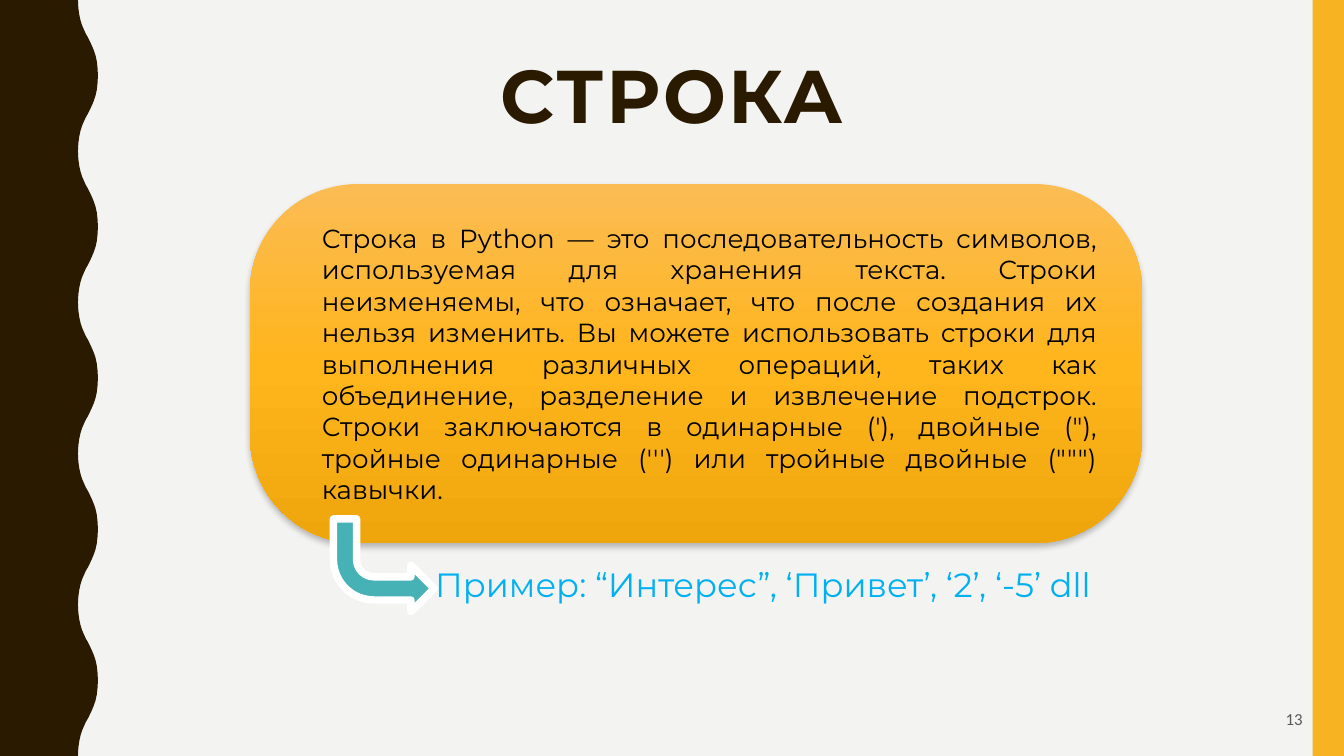
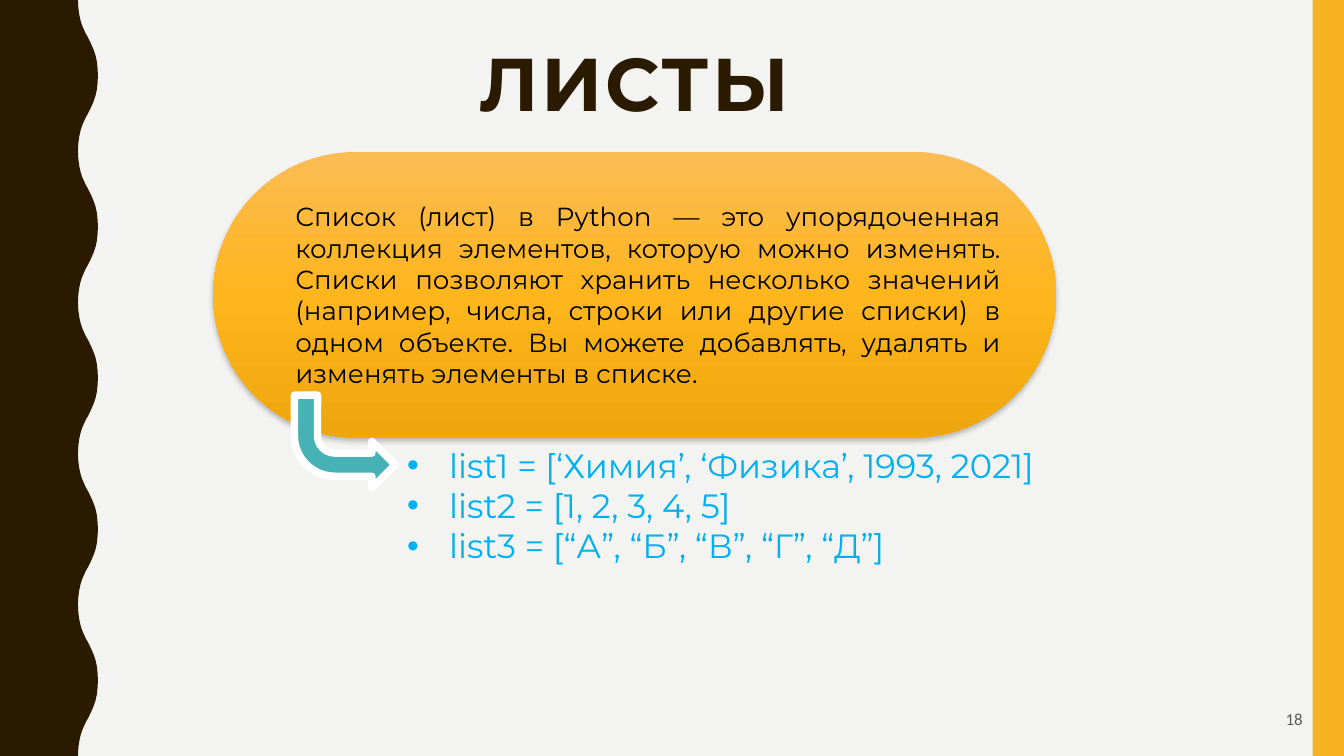
from lxml import etree
from pptx import Presentation
from pptx.dml.color import RGBColor
from pptx.enum.shapes import MSO_SHAPE
from pptx.enum.text import MSO_ANCHOR, PP_ALIGN
from pptx.oxml import parse_xml
from pptx.oxml.ns import nsdecls, qn
from pptx.util import Pt

RECT, ROUNDED, BENT_ARROW = MSO_SHAPE.RECTANGLE, MSO_SHAPE.ROUNDED_RECTANGLE, MSO_SHAPE.BENT_ARROW
TOP, MIDDLE, BOTTOM = MSO_ANCHOR.TOP, MSO_ANCHOR.MIDDLE, MSO_ANCHOR.BOTTOM
LEFT, CENTER, RIGHT, JUSTIFY = PP_ALIGN.LEFT, PP_ALIGN.CENTER, PP_ALIGN.RIGHT, PP_ALIGN.JUSTIFY

PAPER = RGBColor(0xF3, 0xF3, 0xF2)
BROWN = RGBColor(0x2A, 0x1A, 0x00)
AMBER = RGBColor(0xF8, 0xB3, 0x23)
CARD_TOP = RGBColor(0xFB, 0xBC, 0x54)
CARD_MIDDLE = RGBColor(0xFF, 0xB5, 0x1C)
CARD_BOTTOM = RGBColor(0xEF, 0xA6, 0x0C)
TEAL = RGBColor(0x46, 0xB2, 0xB5)
WHITE = RGBColor(0xFF, 0xFF, 0xFF)
BLACK = RGBColor(0x00, 0x00, 0x00)
SKY = RGBColor(0x00, 0xB0, 0xF0)
GREY = RGBColor(0x59, 0x59, 0x59)

FONT = "Montserrat"
NUMBER_FONT = "Calibri"
WIDTH, HEIGHT = 720, 405
WAVES = 5
WAVE_HEIGHT = HEIGHT / WAVES
HALF_WAVE = [(41.8, 0), (42, 4.2), (42.5, 7.9), (43.2, 11), (44, 13.6), (45, 15.9),
             (46, 18.1), (47.2, 20.2), (48.3, 22.4), (49.3, 24.6), (50.3, 27),
             (51.2, 29.7), (51.9, 32.8), (52.3, 36.4), (52.5, 40.5)]

STRING_TEXT = (
    "Строка в Python — это последовательность символов, используемая для хранения текста. "
    "Строки неизменяемы, что означает, что после создания их нельзя изменить. Вы можете "
    "использовать строки для выполнения различных операций, таких как объединение, разделение "
    "и извлечение подстрок. Строки заключаются в одинарные ('), двойные (\"), "
    "тройные одинарные (''') или тройные двойные (\"\"\") кавычки."
)
LIST_TEXT = (
    "Список (лист) в Python — это упорядоченная коллекция элементов, которую можно изменять. "
    "Списки позволяют хранить несколько значений (например, числа, строки или другие списки) "
    "в одном объекте. Вы можете добавлять, удалять и изменять элементы в списке."
)


def lengths(box):
    return [Pt(value) for value in box]


def write(shape, lines, size, color, align=LEFT, anchor=TOP, font=FONT, insets=(7.2, 3.6, 7.2, 3.6)):
    frame = shape.text_frame
    frame.text = "\n".join(lines)
    frame.word_wrap = True
    frame.vertical_anchor = anchor
    frame.margin_left, frame.margin_top, frame.margin_right, frame.margin_bottom = lengths(insets)
    for paragraph in frame.paragraphs:
        paragraph.alignment = align
        for run in paragraph.runs:
            run.font.size = Pt(size)
            run.font.name = font
            run.font.color.rgb = color
    return frame.paragraphs


def paint(shape, color):
    shape.shadow.inherit = False
    shape.fill.solid()
    shape.fill.fore_color.rgb = color
    shape.line.fill.background()


def add_frame(slide, number):
    slide.background.fill.solid()
    slide.background.fill.fore_color.rgb = PAPER

    edge = []
    for wave in range(WAVES):
        top = wave * WAVE_HEIGHT
        edge += [(x, top + y) for x, y in HALF_WAVE]
        edge += [(x, top + WAVE_HEIGHT - y) for x, y in HALF_WAVE[-2::-1]]
    outline = slide.shapes.build_freeform(0, 0)
    outline.add_line_segments([lengths(point) for point in edge + [(0, HEIGHT)]], close=True)
    paint(outline.convert_to_shape(), BROWN)

    band_width = 16.8
    band = slide.shapes.add_shape(RECT, *lengths((WIDTH - band_width, 0, band_width, HEIGHT)))
    paint(band, AMBER)

    page = slide.shapes.add_textbox(*lengths((661.7, 374, 43.2, 31)))
    write(page, [number], 9, GREY, RIGHT, font=NUMBER_FONT, insets=(7.2,) * 4)


def add_title(slide, box, title):
    heading = slide.shapes.add_textbox(*lengths(box))
    paragraph = write(heading, [title], 40, BROWN, CENTER, BOTTOM, insets=(7.2,) * 4)[0]
    paragraph.line_spacing = 0.9
    font = paragraph.runs[0].font
    font.bold = True
    paragraph.runs[0]._r.get_or_add_rPr().set("spc", "150")


def add_definition(slide, box, rounding, text):
    card = slide.shapes.add_shape(ROUNDED, *lengths(box))
    card.adjustments[0] = rounding
    card.line.fill.background()
    card.fill.gradient()
    card.fill.gradient_angle = 270
    properties = card._element.spPr
    stops = properties.find(".//" + qn("a:gsLst"))
    for stop in list(stops):
        stops.remove(stop)
    for position, color in ((0, CARD_TOP), (50, CARD_MIDDLE), (100, CARD_BOTTOM)):
        stops.append(parse_xml(
            f'<a:gs {nsdecls("a")} pos="{position * 1000}"><a:srgbClr val="{color}"/></a:gs>'))
    card.shadow.inherit = False
    properties.find(qn("a:effectLst")).append(parse_xml(
        f'<a:outerShdw {nsdecls("a")} blurRad="{Pt(3)}" dist="{Pt(2)}" dir="5400000" rotWithShape="0">'
        f'<a:srgbClr val="{BLACK}"><a:alpha val="25000"/></a:srgbClr></a:outerShdw>'))
    write(card, [text], 14, BLACK, JUSTIFY, MIDDLE, insets=(21.6, 3.6, 7.2, 3.6))


def add_examples(slide, arrow_corner, box, examples, bulleted=False):
    arrow = slide.shapes.add_shape(BENT_ARROW, *lengths((*arrow_corner, 54, 49.7)))
    paint(arrow, TEAL)
    arrow.line.color.rgb = WHITE
    arrow.line.width = Pt(4)
    arrow._element.spPr.xfrm.set("flipV", "1")

    samples = slide.shapes.add_textbox(*lengths(box))
    paragraphs = write(samples, examples, 18, SKY)
    if bulleted:
        for paragraph in paragraphs:
            properties = paragraph._p.get_or_add_pPr()
            properties.set("marL", str(Pt(22.5)))
            properties.set("indent", str(-Pt(22.5)))
            etree.SubElement(properties, qn("a:buFont")).set("typeface", "Arial")
            etree.SubElement(properties, qn("a:buChar")).set("char", "•")


def add_string_slide(slide):
    add_frame(slide, "13")
    add_title(slide, (62, 26.6, 596, 55.4), "СТРОКА")
    add_definition(slide, (133.9, 98.6, 478, 192.4), 0.3, STRING_TEXT)
    add_examples(slide, (178.6, 278, ), (226, 298.8, 386, 29),
                 ["Пример: “Интерес”, ‘Привет’, ‘2’, ‘-5’ dll"])


def add_list_slide(slide):
    add_frame(slide, "18")
    add_title(slide, (41.8, 20.2, 596, 55.4), "ЛИСТЫ")
    add_definition(slide, (114.3, 81.4, 451.5, 153), 0.5, LIST_TEXT)
    add_examples(slide, (157.7, 211.7), (211, 234.7, 412, 72.7),
                 ["list1 = [‘Химия’, ‘Физика’, 1993, 2021]",
                  "list2 = [1, 2, 3, 4, 5]",
                  "list3 = [“А”, “Б”, “В”, “Г”, “Д”]"], bulleted=True)


def main():
    deck = Presentation()
    deck.slide_width, deck.slide_height = Pt(WIDTH), Pt(HEIGHT)
    blank = deck.slide_layouts[6]
    for build in (add_string_slide, add_list_slide):
        build(deck.slides.add_slide(blank))
    deck.save("out.pptx")


if __name__ == "__main__":
    main()
